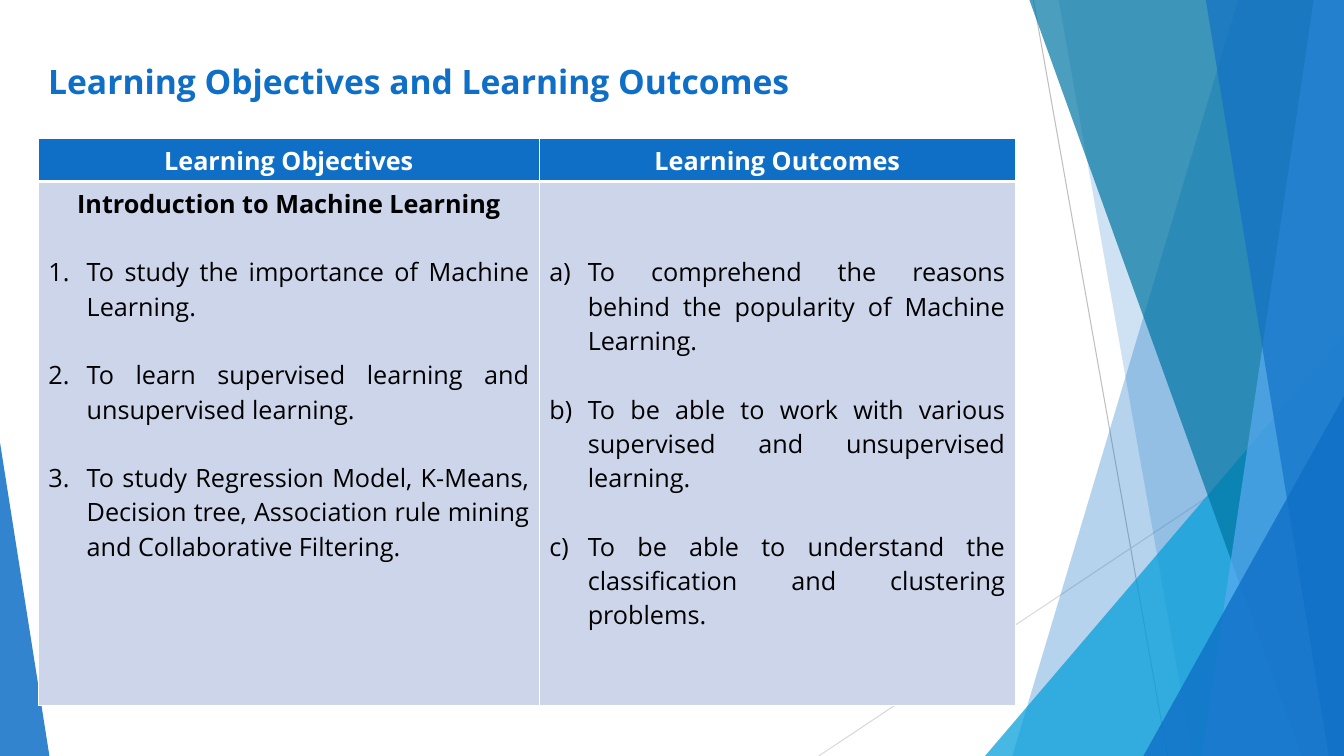
import pptx
import pptx.dml.color
import pptx.enum.shapes
import pptx.enum.text
import pptx.oxml.ns
import pptx.util
from lxml import etree

Inches, Pt = pptx.util.Inches, pptx.util.Pt
RGBColor = pptx.dml.color.RGBColor
ALIGN = pptx.enum.text.PP_ALIGN
MIDDLE = pptx.enum.text.MSO_ANCHOR.MIDDLE

BLUE = RGBColor(0x0F, 0x6F, 0xC6)
CYAN = RGBColor(0x00, 0x9D, 0xD9)
TEAL = RGBColor(0x00, 0x76, 0xA3)
SKY = RGBColor(0x59, 0xAA, 0xF2)
PALE = RGBColor(0xCC, 0xD5, 0xEA)
GRAY = RGBColor(0xBF, 0xBF, 0xBF)
LIGHT_GRAY = RGBColor(0xD9, 0xD9, 0xD9)
WHITE = RGBColor(0xFF, 0xFF, 0xFF)
BLACK = RGBColor(0, 0, 0)

FONT = "Open Sans"
WIDTH, HEIGHT = 13.33, 7.5
TITLE = "Learning Objectives and Learning Outcomes"
# header, lead line, numbering scheme, items
COLUMNS = [
    ("Learning Objectives", "Introduction to Machine Learning", "arabicPeriod", [
        "To study the importance of Machine Learning.",
        "To learn supervised learning and unsupervised learning.",
        "To study Regression Model, K-Means, Decision tree, "
        "Association rule mining and Collaborative Filtering."]),
    ("Learning Outcomes", None, "alphaLcParenR", [
        "To comprehend the reasons behind the popularity of Machine Learning.",
        "To be able to work with various supervised and unsupervised learning.",
        "To be able to understand the classification and clustering problems."]),
]
TABLE_LEFT, TABLE_TOP = 0.38, 1.37
COLUMN_WIDTHS = (4.97, 4.72)
ROW_HEIGHTS = (0.43, 5.2)
LINE_PT = 24.5
INDENT = 0.38

LINES = [((10.25, 0), (11.58, HEIGHT), GRAY),
         ((WIDTH, 4.03), (8.12, HEIGHT), LIGHT_GRAY)]
# Bands run to the right edge: left end at the top, left end at the bottom.
# Triangles stand on the bottom edge: left, width, height, apex position.
FACETS = [
    ("band", (12.28, 10.04), BLUE, 30),
    ("band", (10.5, 11.83), BLUE, 20),
    ("triangle", (9.77, 3.56, 4.17, 1), CYAN, 72),
    ("band", (10.21, 12.91), TEAL, 70),
    ("band", (13.03, 11.92), SKY, 70),
    ("band", (11.96, 13.18), BLUE, 65),
    ("triangle", (11.34, 1.99, 3.57, 1), BLUE, 80),
    ("triangle", (0, 0.49, 3.11, 0), BLUE, 85),
]


def add_child(parent, tag, **attributes):
    """Append a DrawingML element to parent."""
    return etree.SubElement(parent, pptx.oxml.ns.qn("a:" + tag), attributes)


def add_line(shapes, start, end, color):
    """Draw a thin straight line."""
    line = shapes.add_connector(
        pptx.enum.shapes.MSO_CONNECTOR.STRAIGHT,
        *[Inches(value) for value in start + end])
    line.line.color.rgb = color
    line.line.width = Pt(0.75)
    add_child(line._element.spPr, "effectLst")


def add_facet(shapes, kind, geometry, color, opacity):
    """Draw one translucent band or triangle."""
    if kind == "band":
        top_x, bottom_x = geometry
        corners = [(Inches(x), Inches(y)) for x, y in (
            (top_x, 0), (WIDTH, 0), (WIDTH, HEIGHT), (bottom_x, HEIGHT))]
        builder = shapes.build_freeform(*corners[0])
        builder.add_line_segments(corners[1:], close=True)
        shape = builder.convert_to_shape()
    else:
        left, width, height, apex = geometry
        shape = shapes.add_shape(
            pptx.enum.shapes.MSO_SHAPE.ISOSCELES_TRIANGLE,
            Inches(left), Inches(HEIGHT - height), Inches(width), Inches(height))
        shape.adjustments[0] = apex
    shape.shadow.inherit = False
    shape.line.fill.background()
    shape.fill.solid()
    shape.fill.fore_color.rgb = color
    color_node = shape._element.spPr.find(".//" + pptx.oxml.ns.qn("a:srgbClr"))
    add_child(color_node, "alpha", val=str(opacity * 1000))


def write(paragraph, text, size, color, bold, alignment):
    """Fill a paragraph and set its font."""
    paragraph.text = text
    paragraph.alignment = alignment
    font = paragraph.font
    font.name, font.size, font.bold = FONT, Pt(size), bold
    font.color.rgb = color


def style_cell(cell, color, top, bottom):
    """Give a cell white borders and a solid fill."""
    properties = cell._tc.get_or_add_tcPr()
    for side, points in (("L", 1), ("R", 1), ("T", top), ("B", bottom)):
        border = add_child(properties, "ln" + side, w=str(Pt(points)))
        add_child(add_child(border, "solidFill"), "srgbClr", val=str(WHITE))
    cell.fill.solid()
    cell.fill.fore_color.rgb = color


def number(paragraph, scheme):
    """Turn a paragraph into an automatically numbered item."""
    properties = paragraph._p.get_or_add_pPr()
    properties.set("marL", str(Inches(INDENT)))
    properties.set("indent", str(-Inches(INDENT)))
    add_child(properties, "buFont", typeface="+mj-lt")
    add_child(properties, "buAutoNum", type=scheme)


def fill_body(cell, lead, scheme, items):
    """Write the lead line and the numbered items, one line apart."""
    frame = cell.text_frame
    paragraph = frame.paragraphs[0]
    if lead:
        write(paragraph, lead, 18, BLACK, True, ALIGN.CENTER)
    else:
        cell.margin_top = Inches(0.05) + Pt(2 * LINE_PT)
    for index, item in enumerate(items):
        if lead or index:
            paragraph = frame.add_paragraph()
            paragraph.space_before = Pt(LINE_PT)
        write(paragraph, item, 18, BLACK, False, ALIGN.JUSTIFY)
        number(paragraph, scheme)


presentation = pptx.Presentation()
presentation.slide_width, presentation.slide_height = Inches(WIDTH), Inches(HEIGHT)
slide = presentation.slides.add_slide(presentation.slide_layouts[6])

for line in LINES:
    add_line(slide.shapes, *line)
for facet in FACETS:
    add_facet(slide.shapes, *facet)

title = slide.shapes.add_textbox(
    Inches(TABLE_LEFT), Inches(0.55), Inches(7.94), Inches(0.51)).text_frame
title.word_wrap = True
title.vertical_anchor = MIDDLE
write(title.paragraphs[0], TITLE, 24, BLUE, True, ALIGN.LEFT)

table = slide.shapes.add_table(
    len(ROW_HEIGHTS), len(COLUMNS), Inches(TABLE_LEFT), Inches(TABLE_TOP),
    Inches(sum(COLUMN_WIDTHS)), Inches(sum(ROW_HEIGHTS))).table
for row, height in zip(table.rows, ROW_HEIGHTS):
    row.height = Inches(height)
for index, (header, lead, scheme, items) in enumerate(COLUMNS):
    table.columns[index].width = Inches(COLUMN_WIDTHS[index])
    head, body = table.cell(0, index), table.cell(1, index)
    style_cell(head, BLUE, 1, 3)
    style_cell(body, PALE, 3, 1)
    write(head.text_frame.paragraphs[0], header, 18, WHITE, True, ALIGN.CENTER)
    fill_body(body, lead, scheme, items)

presentation.save("out.pptx")
